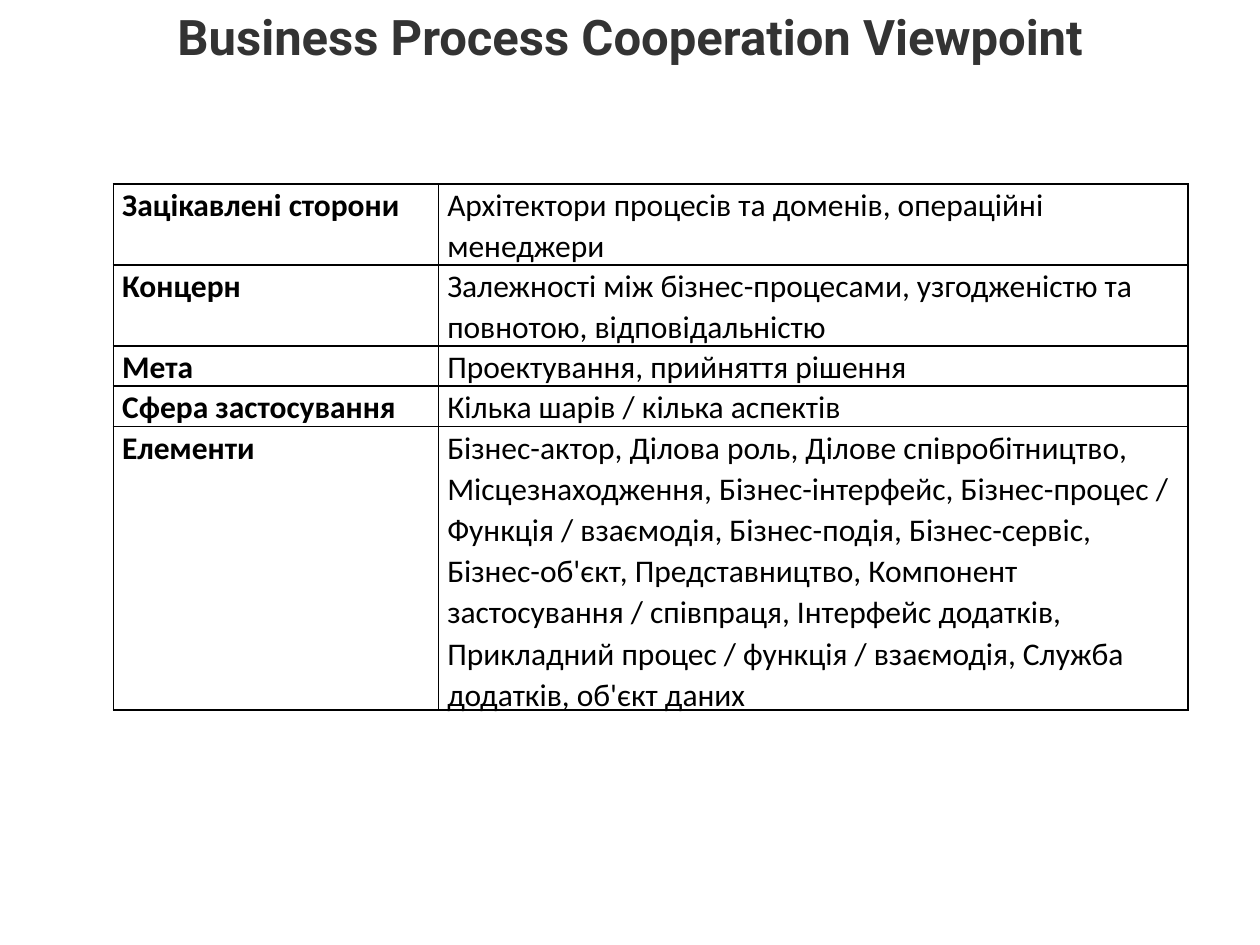
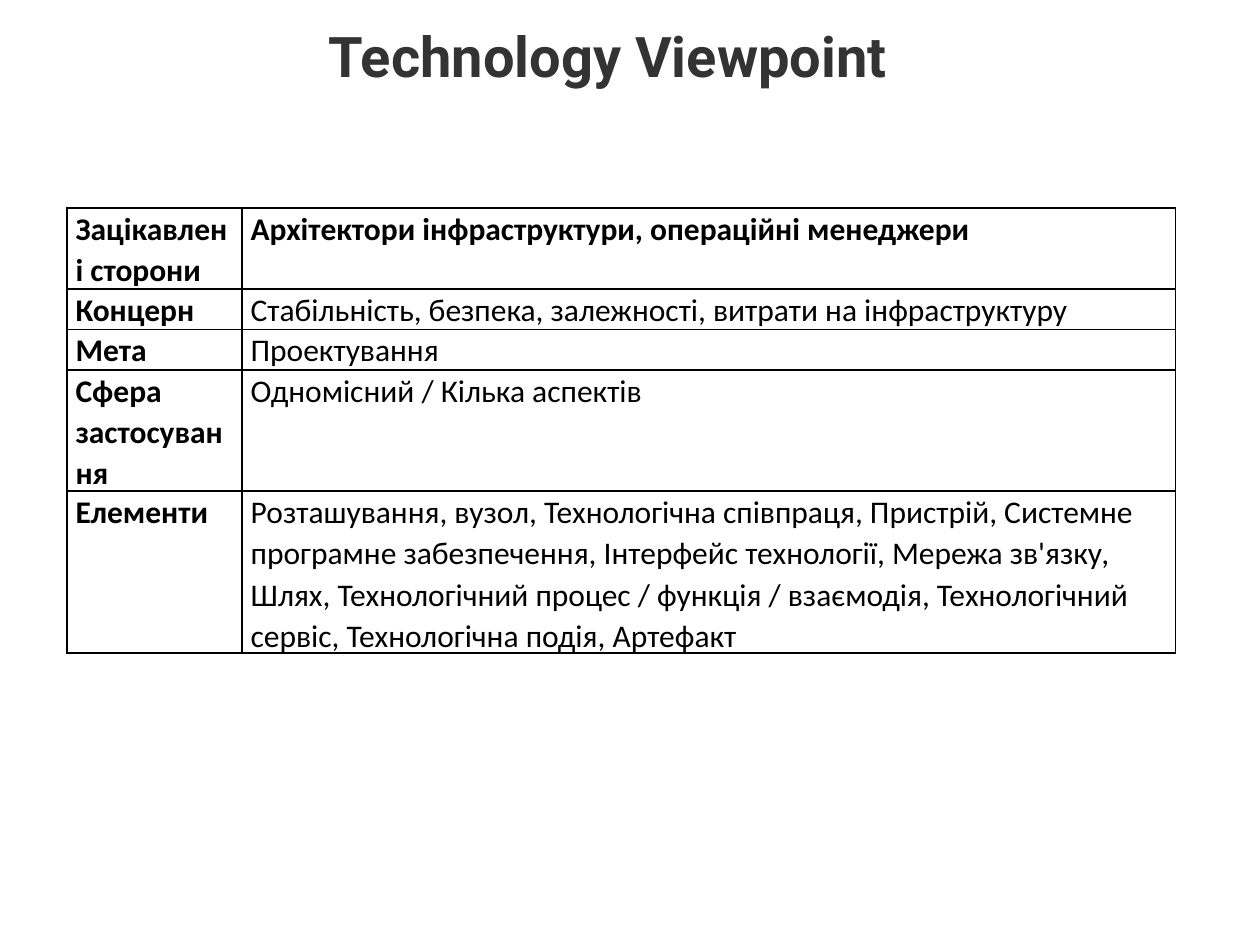
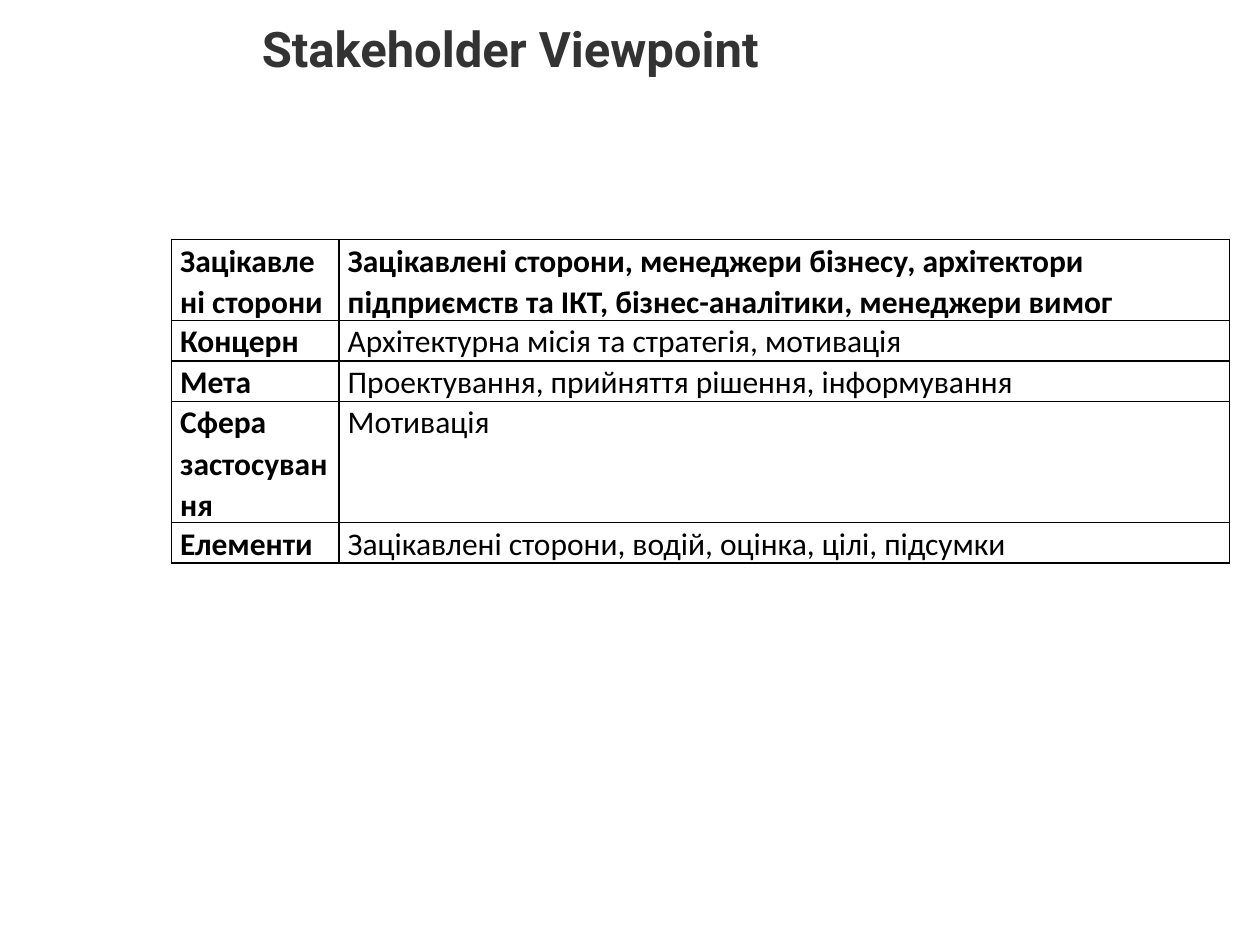
from dataclasses import dataclass

from lxml import etree
from pptx import Presentation
from pptx import util as u
from pptx.dml import color
from pptx.enum import text
from pptx.oxml import ns


@dataclass(frozen=True)
class Theme:
    title_color: str = "333333"
    ink: str = "000000"
    title_font: str = "Roboto"
    body_font: str = "Calibri"
    body_size: int = 18
    line_spacing: float = 1.07
    border_width: int = 1


theme = Theme()

deck = Presentation()
deck.slide_width, deck.slide_height = u.Inches(10), u.Inches(7.5)

# Layout grid: 100 columns by 75 rows
column = deck.slide_width / 100
row = deck.slide_height / 75
text_line = 3.21  # grid rows taken by one line of table text

row_labels = ["Зацікавлені сторони", "Концерн", "Мета", "Сфера застосування", "Елементи"]

# Boxes are left, top, width, height in grid units
viewpoints = [
    {
        "title": "Business Process Cooperation Viewpoint",
        "title_box": (0, 0, 100, 5.7),
        "title_size": 28,
        "title_format": {"alignment": text.PP_ALIGN.CENTER},
        "wrap": True,
        "table_corner": (9, 14.6),
        "table_columns": (25.8, 59.5),
        "row_lines": (2, 2, 1, 1, 7),
        "bold_first_row": False,
        "answers": [
            "Архітектори процесів та доменів, операційні менеджери",
            "Залежності між бізнес-процесами, узгодженістю та повнотою, відповідальністю",
            "Проектування, прийняття рішення",
            "Кілька шарів / кілька аспектів",
            "Бізнес-актор, Ділова роль, Ділове співробітництво, Місцезнаходження, "
            "Бізнес-інтерфейс, Бізнес-процес / Функція / взаємодія, Бізнес-подія, "
            "Бізнес-сервіс, Бізнес-об'єкт, Представництво, Компонент застосування / "
            "співпраця, Інтерфейс додатків, Прикладний процес / функція / взаємодія, "
            "Служба додатків, об'єкт даних",
        ],
    },
    {
        "title": "Technology Viewpoint",
        "title_box": (25.1, 1.2, 49.1, 6.4),
        "title_size": 32,
        "title_format": {"alignment": text.PP_ALIGN.LEFT},
        "wrap": False,
        "table_corner": (5.3, 16.5),
        "table_columns": (13.9, 74.1),
        "row_lines": (2, 1, 1, 3, 4),
        "bold_first_row": True,
        "answers": [
            "Архітектори інфраструктури, операційні менеджери",
            "Стабільність, безпека, залежності, витрати на інфраструктуру",
            "Проектування",
            "Одномісний / Кілька аспектів",
            "Розташування, вузол, Технологічна співпраця, Пристрій, Системне програмне "
            "забезпечення, Інтерфейс технології, Мережа зв'язку, Шлях, Технологічний "
            "процес / функція / взаємодія, Технологічний сервіс, Технологічна подія, "
            "Артефакт",
        ],
    },
    {
        "title": "Stakeholder Viewpoint",
        "title_box": (19.8, 1, 44.1, 5.7),
        "title_size": 28,
        "title_format": {"alignment": text.PP_ALIGN.LEFT},
        "wrap": False,
        "table_corner": (13.6, 19),
        "table_columns": (13.3, 70.7),
        "row_lines": (2, 1, 1, 3, 1),
        "bold_first_row": True,
        "answers": [
            "Зацікавлені сторони, менеджери бізнесу, архітектори підприємств та ІКТ, "
            "бізнес-аналітики, менеджери вимог",
            "Архітектурна місія та стратегія, мотивація",
            "Проектування, прийняття рішення, інформування",
            "Мотивація",
            "Зацікавлені сторони, водій, оцінка, цілі, підсумки",
        ],
    },
]


def write(para, words, ink, para_format, font_format):
    for name, value in para_format.items():
        setattr(para, name, value)
    span = para.add_run()
    span.text = words
    for name, value in font_format.items():
        setattr(span.font, name, value)
    span.font.color.rgb = color.RGBColor.from_string(ink)


def style_cell(cell):
    cell_format = {
        "margin_left": u.Inches(0.07),
        "margin_right": u.Inches(0.07),
        "margin_top": 0,
        "margin_bottom": 0,
    }
    for name, value in cell_format.items():
        setattr(cell, name, value)
    properties = cell._tc.get_or_add_tcPr()
    for side in ("lnL", "lnR", "lnT", "lnB"):
        border = etree.SubElement(properties, ns.qn(f"a:{side}"), w=str(u.Pt(theme.border_width)))
        fill = etree.SubElement(border, ns.qn("a:solidFill"))
        etree.SubElement(fill, ns.qn("a:srgbClr"), val=theme.ink)
    cell.fill.background()


for viewpoint in viewpoints:
    page = deck.slides.add_slide(deck.slide_layouts[6])

    # Title
    left, top, width, height = viewpoint["title_box"]
    box = page.shapes.add_textbox(
        round(left * column), round(top * row), round(width * column), round(height * row))
    frame = box.text_frame
    frame.word_wrap = viewpoint["wrap"]
    frame.auto_size = text.MSO_AUTO_SIZE.SHAPE_TO_FIT_TEXT
    write(frame.paragraphs[0], viewpoint["title"], theme.title_color, viewpoint["title_format"],
          {"name": theme.title_font, "size": u.Pt(viewpoint["title_size"]), "bold": True})

    # Table frame
    left, top = viewpoint["table_corner"]
    widths, lines = viewpoint["table_columns"], viewpoint["row_lines"]
    table = page.shapes.add_table(
        len(lines), len(widths), round(left * column), round(top * row),
        round(sum(widths) * column), round(sum(lines) * text_line * row)).table
    table.first_row = table.horz_banding = False
    for table_column, width in zip(table.columns, widths):
        table_column.width = round(width * column)
    for table_row, count in zip(table.rows, lines):
        table_row.height = round(count * text_line * row)

    # Table text
    for r, pair in enumerate(zip(row_labels, viewpoint["answers"])):
        for c, words in enumerate(pair):
            cell = table.cell(r, c)
            style_cell(cell)
            bold = c == 0 or (r == 0 and viewpoint["bold_first_row"])
            write(cell.text_frame.paragraphs[0], words, theme.ink,
                  {"line_spacing": theme.line_spacing},
                  {"name": theme.body_font, "size": u.Pt(theme.body_size), "bold": bold})

deck.save("out.pptx")
